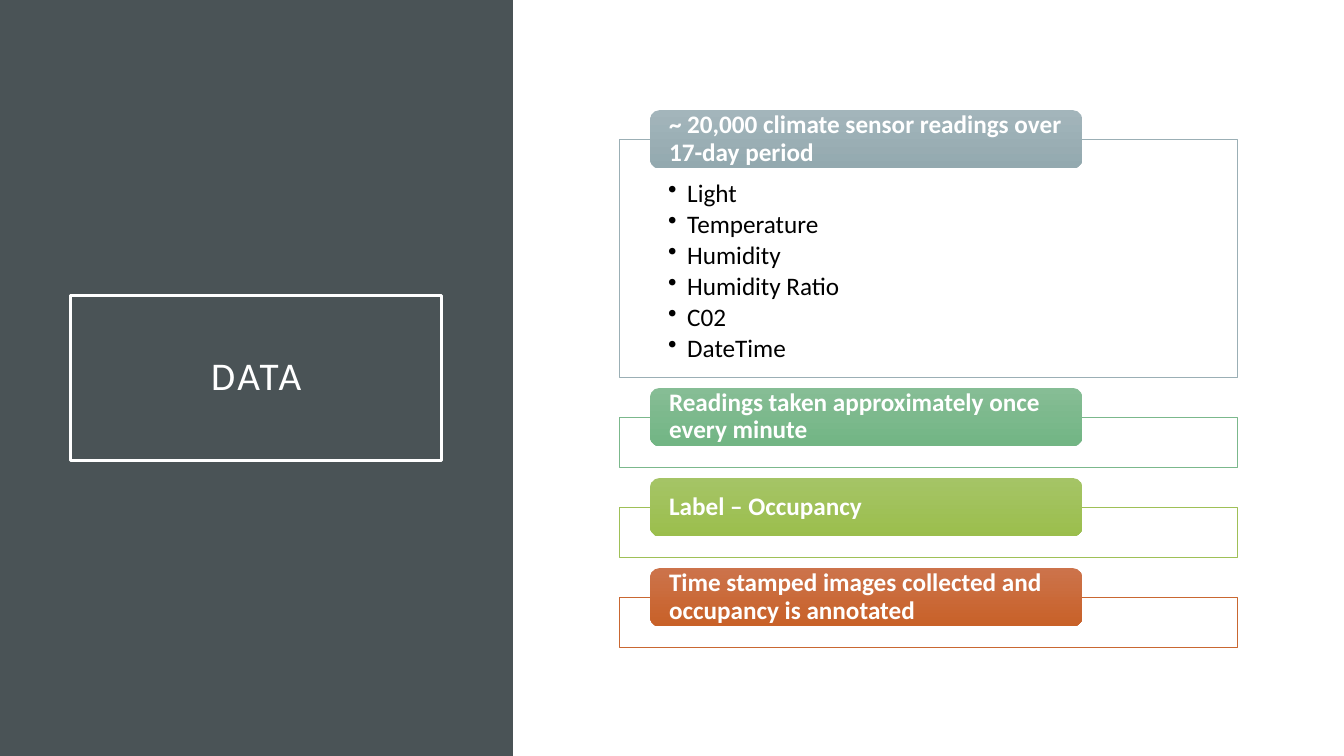
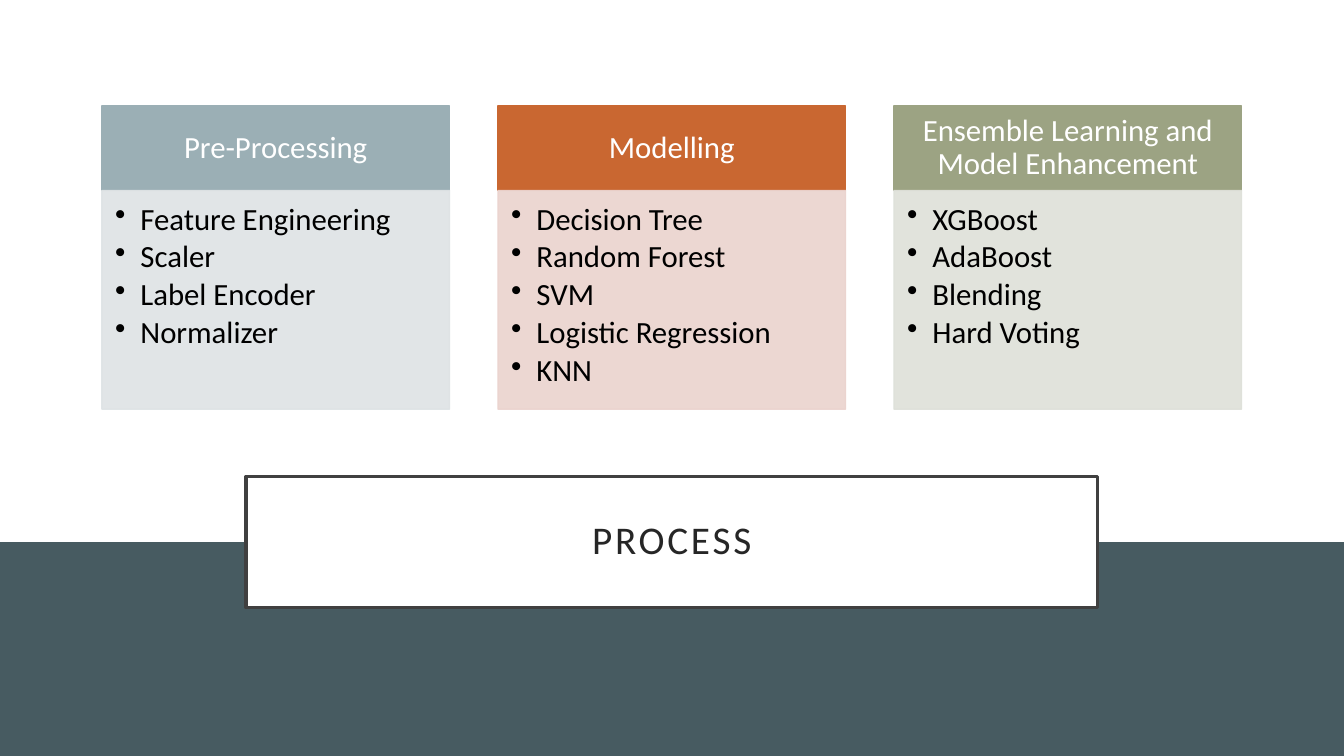
from dataclasses import dataclass

from lxml import etree
from pptx import Presentation
from pptx.dml.color import RGBColor
from pptx.enum.shapes import MSO_SHAPE
from pptx.enum.text import MSO_ANCHOR, MSO_AUTO_SIZE, PP_ALIGN
from pptx.oxml.ns import qn
from pptx.util import Cm, Pt

RECTANGLE, ROUNDED = MSO_SHAPE.RECTANGLE, MSO_SHAPE.ROUNDED_RECTANGLE
LEFT, CENTER = PP_ALIGN.LEFT, PP_ALIGN.CENTER
TOP, MIDDLE = MSO_ANCHOR.TOP, MSO_ANCHOR.MIDDLE
TITLE_ONLY = 5


@dataclass(frozen=True)
class Theme:
    font: str = "Calibri"
    white: str = "FFFFFF"
    black: str = "000000"
    title_dark: str = "262626"
    border_dark: str = "404040"
    side_panel: str = "4A5356"
    bottom_band: str = "475B61"
    title_size: float = 28
    reading_size: float = 18
    process_size: float = 22
    title_border: float = 2.5
    frame_line: float = 0.5
    card_line: float = 1
    line_spacing: float = 0.9
    bullet_gap: float = 0.15


THEME = Theme()
SLIDE_WIDTH, SLIDE_HEIGHT = 33.87, 19.05

DATA_BLOCKS = [
    ("~ 20,000 climate sensor readings over 17-day period",
     ["Light", "Temperature", "Humidity", "Humidity Ratio", "C02", "DateTime"],
     6.0, "9BAFB5", ("A3B5BB", "93A9AF")),
    ("Readings taken approximately once every minute",
     [], 1.27, "7BB88C", ("86BD95", "72B584")),
    ("Label – Occupancy",
     [], 1.27, "9FC057", ("A5C466", "9BBE4D")),
    ("Time stamped images collected and occupancy is annotated",
     [], 1.27, "C96731", ("CC734B", "C86128")),
]

PROCESS_CARDS = [
    ("Pre-Processing", "9BAFB5", "DEE3E5",
     ["Feature Engineering", "Scaler", "Label Encoder", "Normalizer"]),
    ("Modelling", "C96731", "EBD3CE",
     ["Decision Tree", "Random Forest", "SVM", "Logistic Regression", "KNN"]),
    ("Ensemble Learning and Model Enhancement", "9CA383", "DEE0D9",
     ["XGBoost", "AdaBoost", "Blending", "Hard Voting"]),
]


def rgb(value):
    return RGBColor.from_string(value)


def set_line(shape, color, width):
    shape.line.color.rgb = rgb(color)
    shape.line.width = Pt(width)


def set_opacity(shape, percent):
    for color in shape._element.spPr.iter(qn("a:srgbClr")):
        etree.SubElement(color, qn("a:alpha")).set("val", str(percent * 1000))


def add_box(slide, kind, box, fill, line=None, width=1):
    shape = slide.shapes.add_shape(kind, *map(Cm, box))
    shape.shadow.inherit = False
    if isinstance(fill, tuple):
        shape.fill.gradient()
        shape.fill.gradient_angle = 270
        for stop, color in zip(shape.fill.gradient_stops, fill):
            stop.color.rgb = rgb(color)
    else:
        shape.fill.solid()
        shape.fill.fore_color.rgb = rgb(fill)
    if line:
        set_line(shape, line, width)
    else:
        shape.line.fill.background()
    return shape


def write(shape, lines, size, color, insets, align=LEFT, anchor=MIDDLE,
          bold=False, bullet_indent=0):
    frame = shape.text_frame
    frame.word_wrap = True
    frame.auto_size = MSO_AUTO_SIZE.NONE
    frame.vertical_anchor = anchor
    (frame.margin_left, frame.margin_top,
     frame.margin_right, frame.margin_bottom) = map(Cm, insets)
    frame.text = "\n".join(lines)
    for paragraph in frame.paragraphs:
        paragraph.alignment = align
        paragraph.line_spacing = THEME.line_spacing
        font = paragraph.font
        font.name, font.size, font.bold = THEME.font, Pt(size), bold
        font.color.rgb = rgb(color)
        if bullet_indent:
            paragraph.space_after = Pt(size * THEME.bullet_gap)
            properties = paragraph._p.get_or_add_pPr()
            properties.set("marL", str(Cm(bullet_indent)))
            properties.set("indent", str(-Cm(bullet_indent)))
            bullet = etree.Element(qn("a:buChar"))
            bullet.set("char", "•")
            properties.find(qn("a:defRPr")).addprevious(bullet)


def add_titled_slide(presentation, text, title_box, text_color, border,
                     band_box, band_color, title_fill=None):
    slide = presentation.slides.add_slide(presentation.slide_layouts[TITLE_ONLY])
    band = add_box(slide, RECTANGLE, band_box, band_color)
    title = slide.shapes.title
    title._element.addprevious(band._element)
    title.left, title.top, title.width, title.height = map(Cm, title_box)
    if title_fill:
        title.fill.solid()
        title.fill.fore_color.rgb = rgb(title_fill)
    set_line(title, border, THEME.title_border)
    write(title, [text], THEME.title_size, text_color, [0.5] * 4, CENTER)
    for run in title.text_frame.paragraphs[0].runs:
        run._r.get_or_add_rPr().set("spc", "200")
    return slide


def build_data(presentation):
    slide = add_titled_slide(
        presentation, "DATA", (1.78, 7.44, 9.35, 4.17), THEME.white,
        THEME.white, (0, 0, 12.93, SLIDE_HEIGHT), THEME.side_panel)
    left, top, width, gap = 15.62, 3.51, 15.57, 1.0
    tag_left, tag_width, tag_height = 16.38, 10.9, 1.47
    for heading, items, height, line, gradient in DATA_BLOCKS:
        frame = add_box(slide, RECTANGLE, (left, top, width, height),
                        THEME.white, line, THEME.frame_line)
        if items:
            write(frame, items, THEME.reading_size, THEME.black,
                  (1.22, 1.04, 1.22, 0.36), anchor=TOP, bullet_indent=0.48)
        tag = add_box(slide, ROUNDED,
                      (tag_left, top - tag_height / 2, tag_width, tag_height),
                      gradient)
        write(tag, [heading], THEME.reading_size, THEME.white,
              (0.41, 0, 0.41, 0), bold=True)
        top += height + gap


def build_process(presentation):
    band_top = 13.66
    slide = add_titled_slide(
        presentation, "PROCESS", (6.2, 12.01, 21.46, 3.3), THEME.title_dark,
        THEME.border_dark, (0, band_top, SLIDE_WIDTH, SLIDE_HEIGHT - band_top),
        THEME.bottom_band, THEME.white)
    left, top, width, pitch = 2.57, 2.67, 8.76, 9.98
    header_height, body_height = 2.13, 5.51
    for index, (heading, color, tint, items) in enumerate(PROCESS_CARDS):
        card_left = left + index * pitch
        header = add_box(slide, RECTANGLE, (card_left, top, width, header_height),
                         color, color, THEME.card_line)
        write(header, [heading], THEME.process_size, THEME.white,
              (0.43, 0.25, 0.43, 0.25), CENTER)
        body = add_box(slide, RECTANGLE,
                       (card_left, top + header_height, width, body_height),
                       tint, tint, THEME.card_line)
        set_opacity(body, 90)
        write(body, items, THEME.process_size, THEME.black,
              (0.33, 0.33, 0.43, 0.48), anchor=TOP, bullet_indent=0.64)


def main():
    presentation = Presentation()
    presentation.slide_width = Cm(SLIDE_WIDTH)
    presentation.slide_height = Cm(SLIDE_HEIGHT)
    build_data(presentation)
    build_process(presentation)
    presentation.save("out.pptx")


if __name__ == "__main__":
    main()
